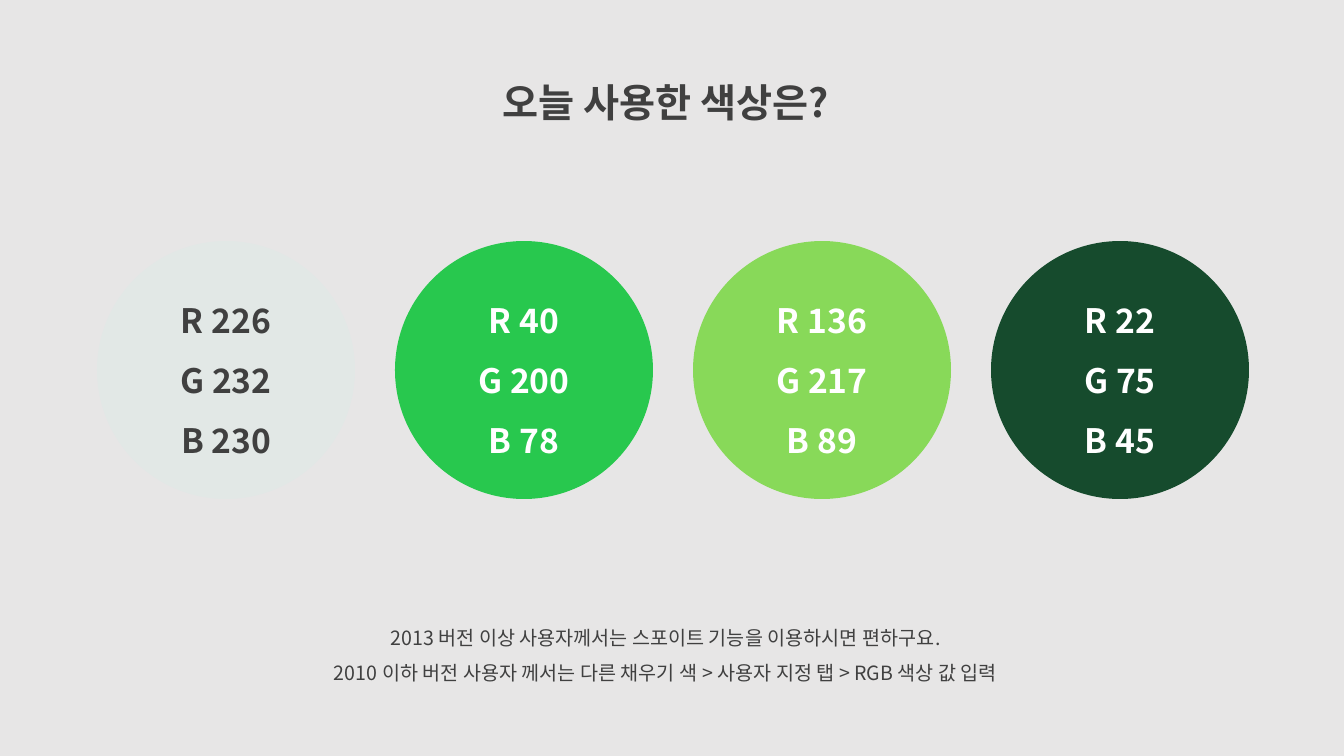
import pptx
import pptx.dml.color
import pptx.enum.shapes
import pptx.enum.text
import pptx.oxml.ns
import pptx.util
import lxml.etree

EMU_PER_PX = 914400 / 100.8


def px(length):
    return pptx.util.Emu(round(length * EMU_PER_PX))


def color(hex_code):
    return pptx.dml.color.RGBColor.from_string(hex_code)


def write(frame, lines, *, size, ink, font, bold=False, spacing=1.5):
    """Fill a text frame with centred lines, one paragraph each."""
    frame.word_wrap = True
    for index, line in enumerate(lines):
        paragraph = frame.add_paragraph() if index else frame.paragraphs[0]
        paragraph.alignment = pptx.enum.text.PP_ALIGN.CENTER
        paragraph.line_spacing = spacing
        run = paragraph.add_run()
        run.text = line
        run.font.size = pptx.util.Pt(size)
        run.font.bold = bold
        run.font.color.rgb = color(ink)
        run.font.name = font
        # Hangul takes its typeface from the East Asian slot
        east_asian = lxml.etree.SubElement(
            run.font._element, pptx.oxml.ns.qn("a:ea"))
        east_asian.set("typeface", font)


class PaletteSlide:
    font = "Noto Sans CJK KR"
    dark = "404040"
    light = "FFFFFF"
    backdrop = "E7E6E6"

    def __init__(self, deck):
        self.slide = deck.slides.add_slide(deck.slide_layouts[6])
        fill = self.slide.background.fill
        fill.solid()
        fill.fore_color.rgb = color(self.backdrop)

    def text(self, left, top, width, height, lines, **style):
        box = self.slide.shapes.add_textbox(
            px(left), px(top), px(width), px(height))
        write(box.text_frame, lines, ink=self.dark, font=self.font, **style)
        box.text_frame.auto_size = pptx.enum.text.MSO_AUTO_SIZE.SHAPE_TO_FIT_TEXT

    def swatch(self, left, top, diameter, rgb, ink):
        circle = self.slide.shapes.add_shape(
            pptx.enum.shapes.MSO_SHAPE.OVAL,
            px(left), px(top), px(diameter), px(diameter))
        circle.shadow.inherit = False
        circle.fill.solid()
        circle.fill.fore_color.rgb = pptx.dml.color.RGBColor(*rgb)
        circle.line.fill.background()
        circle.text_frame.vertical_anchor = pptx.enum.text.MSO_ANCHOR.MIDDLE
        lines = [f"{channel} {value}" for channel, value in zip("RGB", rgb)]
        write(circle.text_frame, lines, size=24, ink=ink, font=self.font,
              bold=True)


def main():
    deck = pptx.Presentation()
    deck.slide_width, deck.slide_height = px(1344), px(756)
    palette = PaletteSlide(deck)

    # Title
    palette.text(432, 50, 467, 73, ["오늘 사용한 색상은?"], size=28, bold=True)

    # Usage notes
    palette.text(263, 609, 805, 82, [
        "2013 버전 이상 사용자께서는 스포이트 기능을 이용하시면 편하구요.",
        "2010 이하 버전 사용자 께서는 다른 채우기 색 > 사용자 지정 탭 > RGB 색상 값 입력",
    ], size=14)

    # Colour swatches
    swatches = [
        ((226, 232, 230), palette.dark),
        ((40, 200, 78), palette.light),
        ((136, 217, 89), palette.light),
        ((22, 75, 45), palette.light),
    ]
    first_left, pitch = 97, 298
    for index, (rgb, ink) in enumerate(swatches):
        palette.swatch(first_left + index * pitch, 241, 258, rgb, ink)

    deck.save("out.pptx")


if __name__ == "__main__":
    main()
